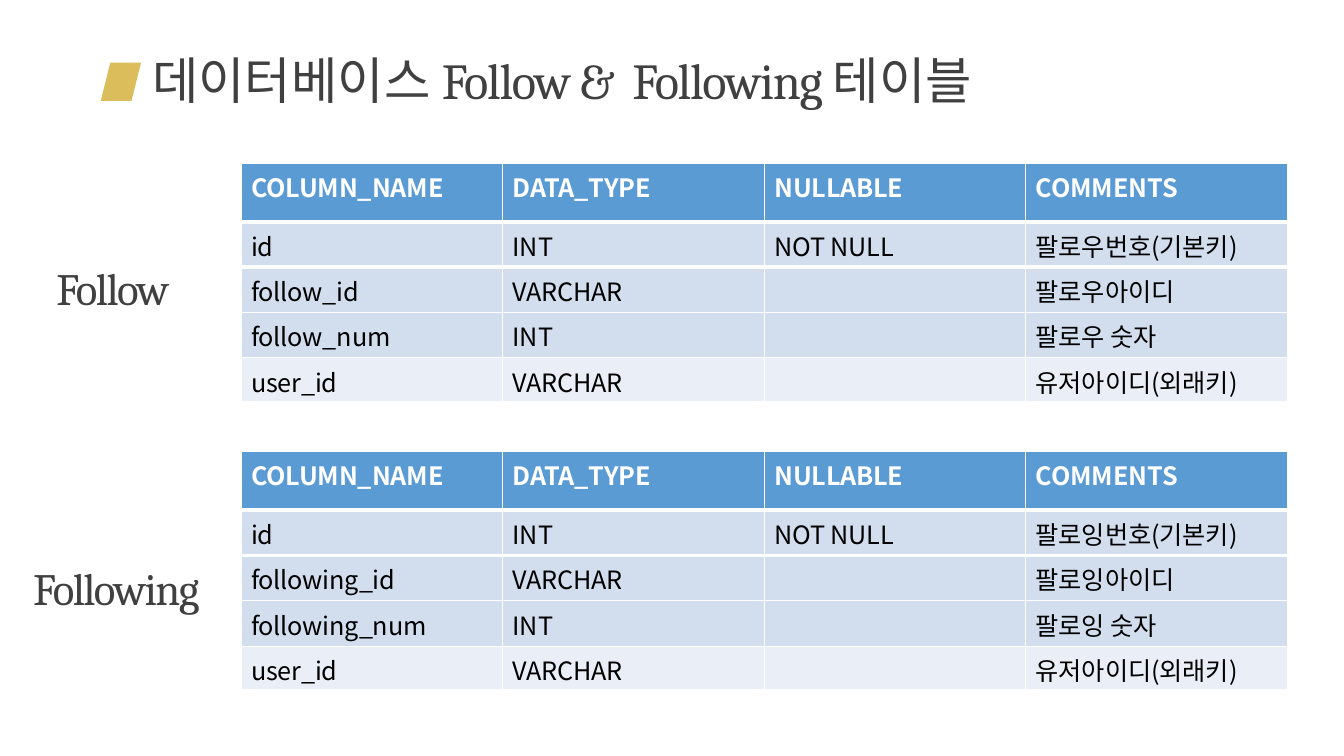
from dataclasses import dataclass

from lxml import etree
from pptx import Presentation
from pptx.dml.color import RGBColor
from pptx.enum.shapes import MSO_SHAPE
from pptx.enum.text import MSO_ANCHOR, PP_ALIGN
from pptx.oxml.ns import qn
from pptx.util import Inches, Pt

TOP = MSO_ANCHOR.TOP
LEFT = PP_ALIGN.LEFT
PARALLELOGRAM = MSO_SHAPE.PARALLELOGRAM
TITLE_ONLY = 5


@dataclass(frozen=True)
class Theme:
    serif: str = "Cambria"
    sans: str = "Noto Sans CJK KR"
    title_size: int = 36
    label_size: int = 32
    cell_size: int = 18
    heading: str = "404040"
    gold: str = "DBBD5C"
    white: str = "FFFFFF"
    black: str = "000000"
    header: str = "5B9BD4"
    band: str = "D2DEEE"
    last_band: str = "EAEEF7"


theme = Theme()


def format_run(run, font_name, size, color, bold=False, spacing=0):
    """Style a run; spacing is in points."""
    run.font.name = font_name
    run.font.size = Pt(size)
    run.font.bold = bold
    run.font.color.rgb = RGBColor.from_string(color)
    properties = run.font._element
    properties.set("spc", str(round(spacing * 100)))
    east_asian = etree.SubElement(properties, qn("a:ea"))
    east_asian.set("typeface", font_name)


def add_borders(cell, widths):
    """Draw white cell borders; widths are points for left, right, top, bottom."""
    properties = cell._tc.get_or_add_tcPr()
    for index, (side, width) in enumerate(zip("LRTB", widths)):
        line = etree.Element(qn(f"a:ln{side}"), w=str(Pt(width)))
        fill = etree.SubElement(line, qn("a:solidFill"))
        etree.SubElement(fill, qn("a:srgbClr"), val=theme.white)
        properties.insert(index, line)


presentation = Presentation()
presentation.slide_width = Inches(13.33)
presentation.slide_height = Inches(7.5)
slide = presentation.slides.add_slide(presentation.slide_layouts[TITLE_ONLY])

# Title
title = slide.shapes.title
title.left, title.top = Inches(1.51), Inches(0.48)
title.width, title.height = Inches(10.38), Inches(0.62)
frame = title.text_frame
frame.margin_left = frame.margin_right = frame.margin_bottom = 0
frame.margin_top = Inches(0.01)
frame.vertical_anchor = TOP
paragraph = frame.paragraphs[0]
paragraph.alignment = LEFT
for text, font_name, spacing in (
    ("데이터베이스 ", theme.sans, 0),
    ("Follow &  Following ", theme.serif, -0.9),
    ("테이블", theme.sans, 0),
):
    run = paragraph.add_run()
    run.text = text
    format_run(run, font_name, theme.title_size, theme.heading, spacing=spacing)

# Gold marker beside the title
marker = slide.shapes.add_shape(
    PARALLELOGRAM, Inches(1), Inches(0.62), Inches(0.4), Inches(0.38))
marker.shadow.inherit = False
marker.fill.solid()
marker.fill.fore_color.rgb = RGBColor.from_string(theme.gold)
marker.line.fill.background()

# Each section: label, its left, top and width, table top, name stem, Korean word
SECTIONS = (
    ("Follow", 0.56, 2.58, 1.67, 1.62, "follow", "팔로우"),
    ("Following", 0.33, 5.55, 2.36, 4.48, "following", "팔로잉"),
)
ROW_HEIGHTS = (0.58, 0.45, 0.45, 0.45, 0.43)
ROW_FILLS = (theme.header, theme.band, theme.band, theme.band, theme.last_band)
RULES = (1, 3, 3, 1, 1, 1)  # horizontal rules from top to bottom, in points
TABLE_WIDTH = 10.38

for label, label_left, label_top, label_width, table_top, stem, korean in SECTIONS:
    rows = (
        ("COLUMN_NAME", "DATA_TYPE", "NULLABLE", "COMMENTS"),
        ("id", "INT", "NOT NULL", f"{korean}번호(기본키)"),
        (f"{stem}_id", "VARCHAR", "", f"{korean}아이디"),
        (f"{stem}_num", "INT", "", f"{korean} 숫자"),
        ("user_id", "VARCHAR", "", "유저아이디(외래키)"),
    )

    # Table
    table = slide.shapes.add_table(
        len(rows), len(rows[0]), Inches(2.39), Inches(table_top),
        Inches(TABLE_WIDTH), Inches(sum(ROW_HEIGHTS))).table
    table.horz_banding = False
    for column in table.columns:
        column.width = Inches(TABLE_WIDTH / len(rows[0]))
    for row_index, values in enumerate(rows):
        table.rows[row_index].height = Inches(ROW_HEIGHTS[row_index])
        is_header = row_index == 0
        for column_index, value in enumerate(values):
            cell = table.cell(row_index, column_index)
            cell.margin_left = Inches(0.1)
            cell.margin_right = cell.margin_bottom = 0
            cell.margin_top = Inches(0.05)
            cell.fill.solid()
            cell.fill.fore_color.rgb = RGBColor.from_string(ROW_FILLS[row_index])
            add_borders(cell, (1, 1, RULES[row_index], RULES[row_index + 1]))
            if value:
                cell.text_frame.text = value
                paragraph = cell.text_frame.paragraphs[0]
                paragraph.space_before = Pt(3.2)
                format_run(paragraph.runs[0], theme.sans, theme.cell_size,
                           theme.white if is_header else theme.black,
                           bold=is_header, spacing=-0.1)

    # Label to the left of the table
    label_box = slide.shapes.add_textbox(
        Inches(label_left), Inches(label_top), Inches(label_width), Inches(0.55))
    frame = label_box.text_frame
    frame.word_wrap = True
    frame.margin_left = frame.margin_right = frame.margin_bottom = 0
    frame.margin_top = Inches(0.01)
    frame.text = label
    paragraph = frame.paragraphs[0]
    paragraph.space_before = Pt(0.9)
    format_run(paragraph.runs[0], theme.serif, theme.label_size, theme.heading,
               spacing=-1.1)

presentation.save("out.pptx")
